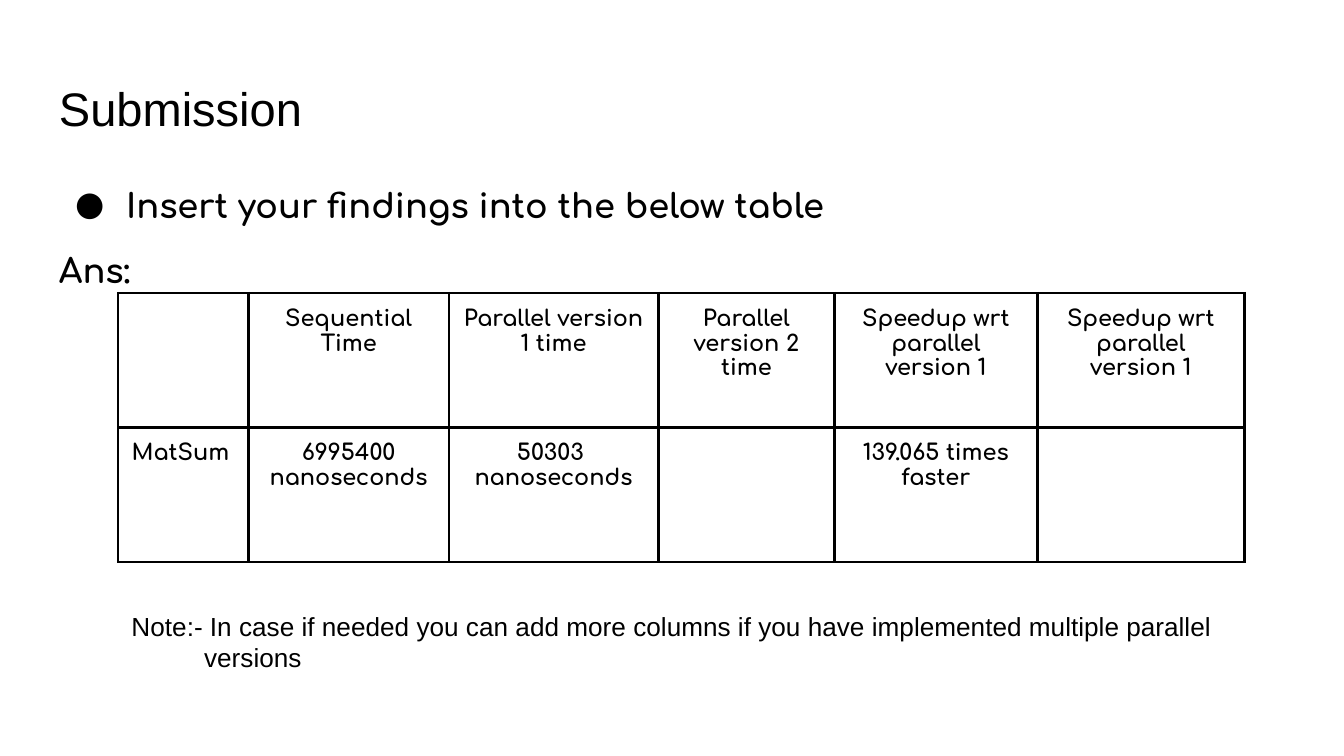
from lxml import etree
from pptx import Presentation, util as u
from pptx.dml.color import RGBColor
from pptx.enum import text
from pptx.oxml import ns

WIDTH = 10
HEIGHT = WIDTH * 9 / 16
MARGIN = 0.34
TABLE_LEFT = 0.88
COLUMNS = [0.97, 1.49, 1.56, 1.31, 1.51, 1.54]
ROW_HEIGHT = 1
COLORS = {"ink": "000000", "paper": "FFFFFF"}
RESULTS = [
    ["", "Sequential Time", "Parallel version 1 time", "Parallel version 2 time",
     "Speedup wrt parallel version 1", "Speedup wrt parallel version 1"],
    ["MatSum", "6995400\nnanoseconds", "50303 \nnanoseconds", "",
     "139.065 times\nfaster", ""],
]


def color(name):
    return RGBColor.from_string(COLORS[name])


def format_runs(text_frame, font_name, size, bold=False):
    for paragraph in text_frame.paragraphs:
        for run in paragraph.runs:
            run.font.name = font_name
            run.font.size = u.Pt(size)
            run.font.bold = bold
            run.font.color.rgb = color("ink")


def set_margins(target):
    for side in ("left", "right", "top", "bottom"):
        setattr(target, f"margin_{side}", u.Inches(0.1))


def add_text(slide, left, top, width, height, content, font_name, size, bold=False):
    box = slide.shapes.add_textbox(
        u.Inches(left), u.Inches(top), u.Inches(width), u.Inches(height))
    text_frame = box.text_frame
    text_frame.word_wrap = True
    set_margins(text_frame)
    text_frame.text = content
    format_runs(text_frame, font_name, size, bold)
    return text_frame


def set_indent(paragraph, left, first=0):
    properties = paragraph._p.get_or_add_pPr()
    properties.set("marL", str(u.Inches(left)))
    properties.set("indent", str(u.Inches(first)))
    return properties


def add_bullet(paragraph):
    properties = set_indent(paragraph, 0.5, -0.38)
    etree.SubElement(properties, ns.qn("a:buFont"), typeface="Comfortaa")
    etree.SubElement(properties, ns.qn("a:buChar"), char="●")


def set_borders(cell, width):
    properties = cell._tc.get_or_add_tcPr()
    for position, side in enumerate(("lnL", "lnR", "lnT", "lnB")):
        line = etree.Element(ns.qn(f"a:{side}"), w=str(u.Pt(width)))
        fill = etree.SubElement(line, ns.qn("a:solidFill"))
        etree.SubElement(fill, ns.qn("a:srgbClr"), val=COLORS["ink"])
        properties.insert(position, line)


def fill_cell(cell, content, centered):
    set_margins(cell)
    cell.fill.background()
    set_borders(cell, 1.5)
    cell.text_frame.text = content
    format_runs(cell.text_frame, "Comfortaa", 12, True)
    for paragraph in cell.text_frame.paragraphs:
        paragraph.alignment = text.PP_ALIGN.CENTER if centered else text.PP_ALIGN.LEFT


def add_results_table(slide, top):
    frame = slide.shapes.add_table(
        len(RESULTS), len(COLUMNS), u.Inches(TABLE_LEFT), u.Inches(top),
        u.Inches(sum(COLUMNS)), u.Inches(ROW_HEIGHT * len(RESULTS)))
    table = frame.table
    table.first_row = table.horz_banding = False
    for column, width in zip(table.columns, COLUMNS):
        column.width = u.Inches(width)
    for row_index, row in enumerate(RESULTS):
        for column_index, content in enumerate(row):
            fill_cell(table.cell(row_index, column_index), content, column_index > 0)


def add_instructions(slide):
    text_frame = add_text(slide, MARGIN, 1.26, WIDTH - 2 * MARGIN, 1.22,
                          "Insert your findings into the below table\nAns:",
                          "Comfortaa", 18, True)
    task, answer = text_frame.paragraphs
    task.line_spacing = answer.line_spacing = 1.05
    answer.space_before = answer.space_after = u.Pt(12)
    add_bullet(task)


def add_note(slide):
    text_frame = add_text(
        slide, TABLE_LEFT, 4.44, sum(COLUMNS), 0.67,
        "Note:- In case if needed you can add more columns if you have "
        "implemented multiple parallel\nversions", "Arial", 14)
    set_indent(text_frame.paragraphs[1], 0.54)


def main():
    presentation = Presentation()
    presentation.slide_width = u.Inches(WIDTH)
    presentation.slide_height = u.Inches(HEIGHT)
    slide = presentation.slides.add_slide(presentation.slide_layouts[6])
    slide.background.fill.solid()
    slide.background.fill.fore_color.rgb = color("paper")
    add_text(slide, MARGIN, 0.49, WIDTH - 2 * MARGIN, 0.63, "Submission", "Arial", 25.2)
    add_instructions(slide)
    add_results_table(slide, 2.18)
    add_note(slide)
    presentation.save("out.pptx")


if __name__ == "__main__":
    main()
